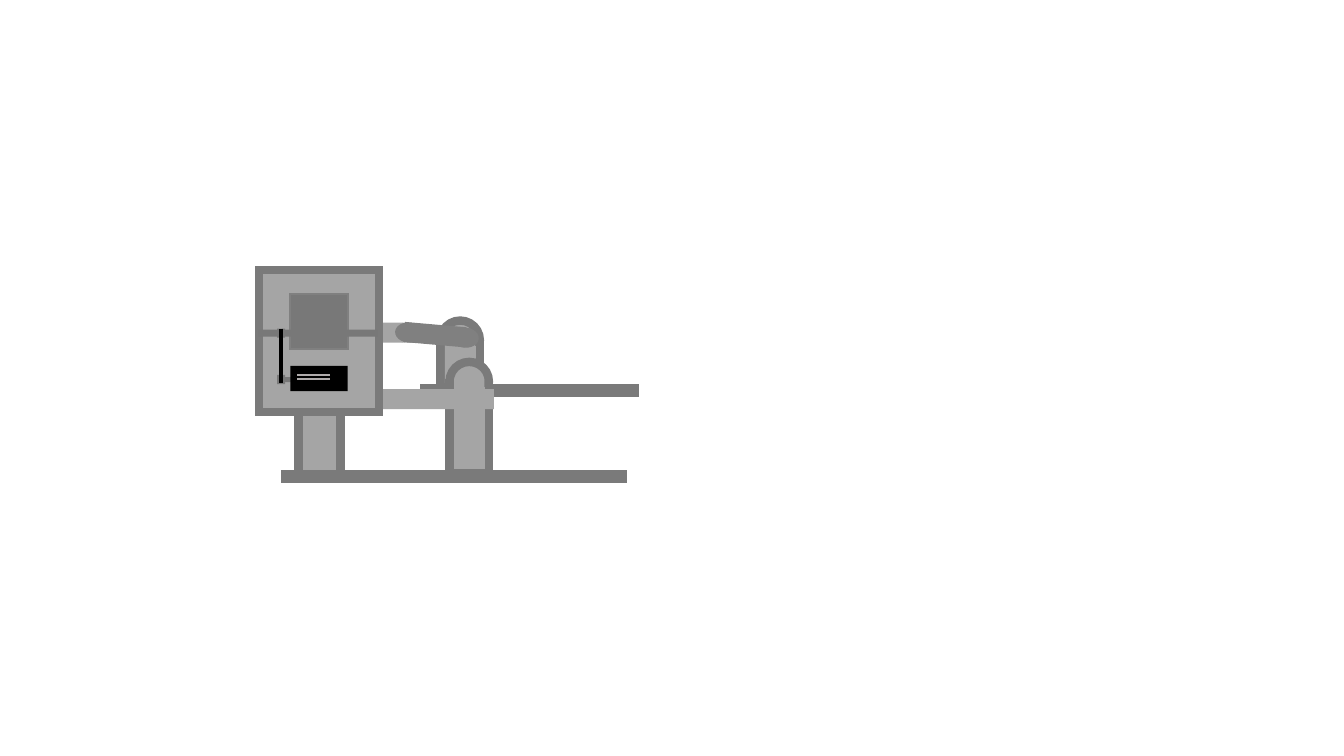
from dataclasses import dataclass

from lxml.etree import SubElement
from pptx import Presentation
from pptx.dml.color import RGBColor
from pptx.enum.shapes import MSO_CONNECTOR as Connector, MSO_SHAPE as Preset
from pptx.oxml.ns import qn
from pptx.util import Inches, Pt

# Grid: columns and rows of a tenth of an inch
CELL = Inches(0.1)
COLUMNS, ROWS = 133.33, 75

BODY, OUTLINE, DETAIL = "A5A5A5", "7A7A7A", "787878"
ARM, BLACK, LABEL_LINE = "808080", "000000", "AFABAB"
FRAME_WIDTH = 6


@dataclass
class Part:
    column: float
    row: float
    width: float
    height: float
    fill: str = BODY
    line: str = ""
    line_width: float = FRAME_WIDTH
    preset: Preset = Preset.RECTANGLE
    rotation: float = 0


@dataclass
class Stroke:
    column: float
    row: float
    end_column: float
    end_row: float
    color: str
    width: float


def grid(cells: float) -> int:
    return round(cells * CELL)


def rgb(value: str) -> RGBColor:
    return RGBColor.from_string(value)


def draw_part(shapes, part: Part) -> None:
    shape = shapes.add_shape(part.preset, grid(part.column), grid(part.row),
                             grid(part.width), grid(part.height))
    shape.shadow.inherit = False
    shape.rotation = part.rotation
    shape.fill.solid()
    shape.fill.fore_color.rgb = rgb(part.fill)
    if not part.line:
        shape.line.fill.background()
        return
    shape.line.color.rgb = rgb(part.line)
    shape.line.width = Pt(part.line_width)
    # Sharp corners on the outline
    outline = shape.element.spPr.find(qn("a:ln"))
    SubElement(outline, qn("a:miter")).set("lim", "800000")


def draw_stroke(shapes, stroke: Stroke) -> None:
    connector = shapes.add_connector(
        Connector.STRAIGHT, grid(stroke.column), grid(stroke.row),
        grid(stroke.end_column), grid(stroke.end_row))
    connector.line.color.rgb = rgb(stroke.color)
    connector.line.width = Pt(stroke.width)
    SubElement(connector.element.spPr, qn("a:effectLst"))


def draw_all(shapes, items: list) -> None:
    for item in items:
        if isinstance(item, Part):
            draw_part(shapes, item)
        else:
            draw_stroke(shapes, item)


def round_post(column: float, row: float, height: float,
               core_height: float) -> list[Part]:
    """Outlined cap and column, joined by a plain core."""
    return [
        Part(column, row, 3.9, 3.9, line=OUTLINE, preset=Preset.OVAL),
        Part(column, row + 2.1, 3.9, height, line=OUTLINE),
        Part(column + 0.45, row + 1.7, 3, core_height),
    ]


def rail(column: float, row: float, width: float) -> Part:
    return Part(column, row, width, 0.5, line=OUTLINE)


def pin(row: float) -> Part:
    return Part(27.5, row, 0.8, 0.9, DETAIL)


rear_support = [*round_post(43.7, 31.8, 4.1, 4.5), rail(42.1, 38.5, 20.9)]

cabinet = [
    # Upper shaft behind the cabinet
    Part(31.8, 32, 8.2, 2),
    Part(39.1, 32, 2, 2, preset=Preset.OVAL),
    # Housing, leg and front rail
    Part(25.7, 26.8, 11.9, 14.1, line=OUTLINE),
    Part(29.6, 40.9, 4.2, 6.4, line=OUTLINE),
    rail(28.3, 47, 33.5),
    # Window, label and crossbar
    Part(28.8, 29.2, 5.7, 5.4, DETAIL, ARM, 1.5),
    Part(28, 37.4, 4.8, 0.5, DETAIL),
    Part(28.8, 36.3, 5.7, 2.5, BLACK),
    pin(37.2),
    Part(25.6, 32.7, 11.9, 0.7, DETAIL),
    *[Stroke(29.5, row, 32.7, row, LABEL_LINE, 1.5) for row in (37.2, 37.6)],
]

front_support = [
    *round_post(44.6, 35.9, 8.9, 8.9),
    # Handle
    pin(32.6),
    Stroke(27.9, 32.6, 27.9, 38, BLACK, 3),
]

crank_arm = [
    Part(40.1, 32.2, 6.1, 2, ARM, rotation=5),
    *[Part(column, row, 2.7, 2, ARM, preset=Preset.OVAL, rotation=5)
      for column, row in ((44.8, 32.5), (39.2, 32))],
]

lower_shaft = Part(38, 38.6, 11, 2)


def main() -> None:
    presentation = Presentation()
    presentation.slide_width = grid(COLUMNS)
    presentation.slide_height = grid(ROWS)
    blank_layout = presentation.slide_layouts[6]
    shapes = presentation.slides.add_slide(blank_layout).shapes

    # Machine from back to front
    draw_all(shapes.add_group_shape().shapes, rear_support)
    draw_all(shapes, cabinet + front_support)
    draw_all(shapes.add_group_shape().shapes, crank_arm)
    draw_part(shapes, lower_shaft)

    presentation.save("out.pptx")


if __name__ == "__main__":
    main()
